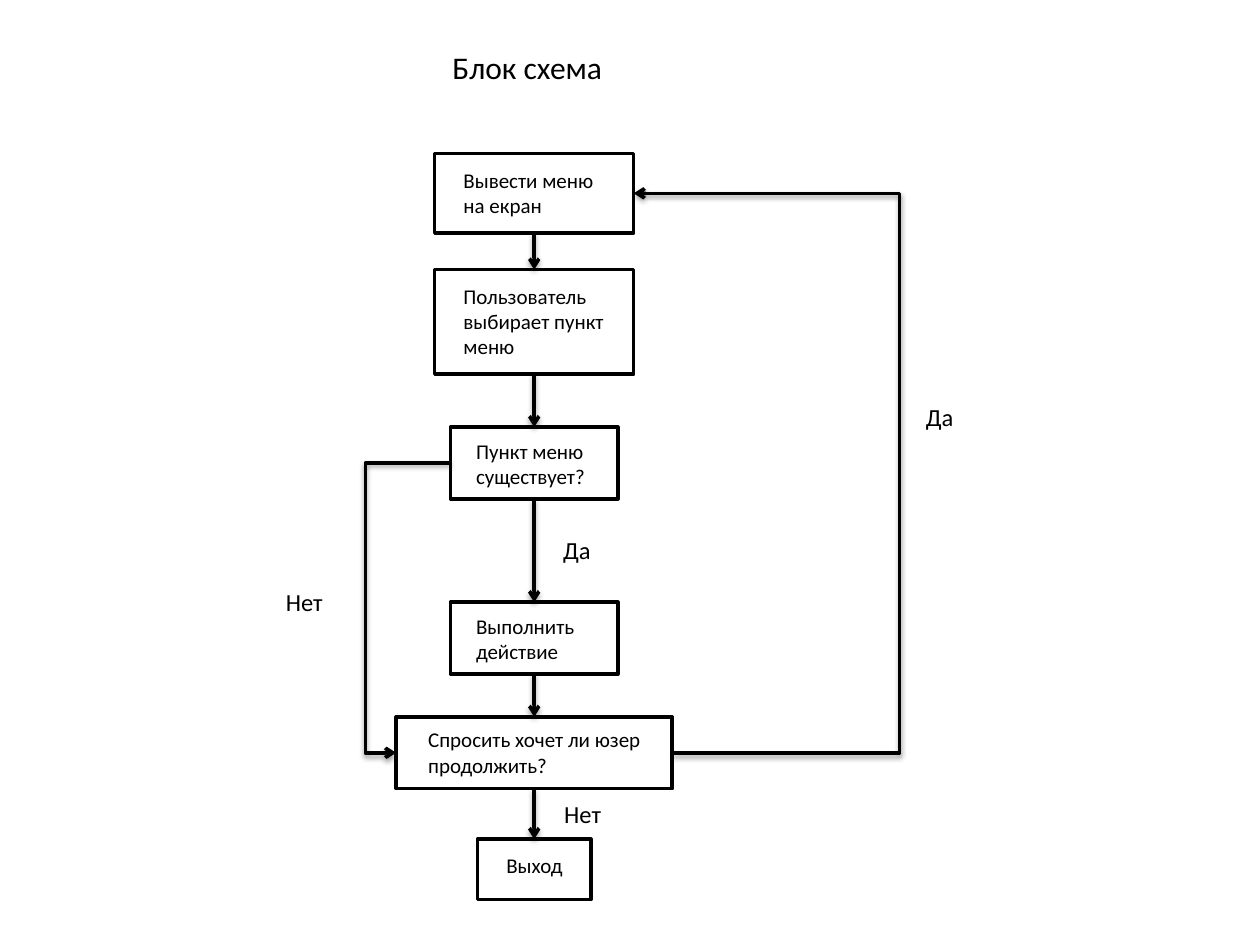
from lxml import etree
from pptx import Presentation
from pptx.dml.color import RGBColor
from pptx.enum import shapes, text
from pptx.oxml import parse_xml
from pptx.oxml.ns import qn
from pptx.util import Inches, Pt

HUES = {"ink": "000000"}
FONT = "Calibri"
AXIS = 4.24  # centre line of the main column
TITLE = ("Блок схема", 3.49, 0.33, 1.5, 0.4)

# key: (text, box top, width, height, label left, top, width, height)
STEPS = {
    "menu": ("Вывести меню на екран", 1.22, 1.58, 0.63, 3.58, 1.28, 1.33, 0.5),
    "pick": ("Пользователь выбирает пункт меню", 2.14, 1.58, 0.83, 3.58, 2.2, 1.33, 0.71),
    "check": ("Пункт меню существует?", 3.39, 1.33, 0.57, 3.68, 3.43, 1.12, 0.5),
    "act": ("Выполнить действие", 4.78, 1.33, 0.57, 3.68, 4.82, 1.12, 0.5),
    "ask": ("Спросить хочет ли юзер продолжить?", 5.69, 2.19, 0.57, 3.3, 5.72, 2, 0.5),
    "exit": ("Выход", 6.66, 0.9, 0.48, 3.92, 6.72, 0.67, 0.3),
}
# from, to, side (connection site) at each end, x of the vertical run
LOOPS = [("ask", "menu", 3, 3, 7.14), ("check", "ask", 1, 1, 2.9)]
NOTES = [
    ("Да", 7.25, 3.14, 0.55, 0.34),
    ("Да", 4.37, 4.2, 0.55, 0.34),
    ("Нет", 4.38, 6.29, 0.5, 0.34),
    ("Нет", 2.17, 4.61, 0.5, 0.34),
]
SHADOW = (
    '<a:effectLst xmlns:a="http://schemas.openxmlformats.org/drawingml/2006/main">'
    '<a:outerShdw blurRad="%d" dist="%d" dir="5400000" rotWithShape="0">'
    '<a:srgbClr val="%s"><a:alpha val="38000"/></a:srgbClr>'
    "</a:outerShdw></a:effectLst>" % (Pt(3.1), Pt(1.6), HUES["ink"])
)


def ink():
    return RGBColor.from_string(HUES["ink"])


def write(shape, words, size):
    frame = shape.text_frame
    frame.text = words
    frame.word_wrap = True
    frame.vertical_anchor = text.MSO_ANCHOR.TOP
    frame.auto_size = text.MSO_AUTO_SIZE.SHAPE_TO_FIT_TEXT
    para = frame.paragraphs[0]
    para.alignment = text.PP_ALIGN.LEFT
    font = para.runs[0].font
    font.name, font.size = FONT, Pt(size)
    font.color.rgb = ink()


def label(slide, words, size, *place):
    write(slide.shapes.add_textbox(*map(Inches, place)), words, size)


def stroke(shape):
    shape.line.color.rgb = ink()
    shape.line.width = Pt(2)


def step(slide, words, top, wide, high, *place):
    box = slide.shapes.add_shape(
        shapes.MSO_SHAPE.RECTANGLE,
        *map(Inches, (AXIS - wide / 2, top, wide, high)))
    box.shadow.inherit = False
    box.fill.background()
    stroke(box)
    label(slide, words, 12, *place)
    return box


def arrow(slide, kind, start, end, out, into):
    link = slide.shapes.add_connector(kind, 0, 0, 0, 0)
    link.begin_connect(start, out)
    link.end_connect(end, into)
    stroke(link)
    etree.SubElement(link.line._get_or_add_ln(), qn("a:tailEnd"), type="arrow")
    link._element.spPr.append(parse_xml(SHADOW))
    return link


def bend(link, run):
    """Put the vertical run of an elbow connector at x = run."""
    ratio = (Inches(run) - link.begin_x) / (link.end_x - link.begin_x)
    geom = link._element.spPr.find(qn("a:prstGeom"))
    guides = geom.find(qn("a:avLst"))
    if guides is None:
        guides = etree.SubElement(geom, qn("a:avLst"))
    etree.SubElement(guides, qn("a:gd"), name="adj1",
                     fmla="val %d" % round(ratio * 100000))


def main():
    deck = Presentation()
    deck.slide_width, deck.slide_height = Inches(10), Inches(7.5)
    slide = deck.slides.add_slide(deck.slide_layouts[5])

    # Title
    title = slide.shapes.title
    title.left, title.top, title.width, title.height = map(Inches, TITLE[1:])
    write(title, TITLE[0], 18)

    # Steps
    boxes = {key: step(slide, *data) for key, data in STEPS.items()}

    # Arrows down the column
    chain = list(boxes.values())
    for start, end in zip(chain, chain[1:]):
        arrow(slide, shapes.MSO_CONNECTOR.STRAIGHT, start, end, 2, 0)

    # Side branches
    for start, end, out, into, run in LOOPS:
        link = arrow(slide, shapes.MSO_CONNECTOR.ELBOW,
                     boxes[start], boxes[end], out, into)
        bend(link, run)

    # Answers on the branches
    for words, *place in NOTES:
        label(slide, words, 14, *place)

    deck.save("out.pptx")


if __name__ == "__main__":
    main()
